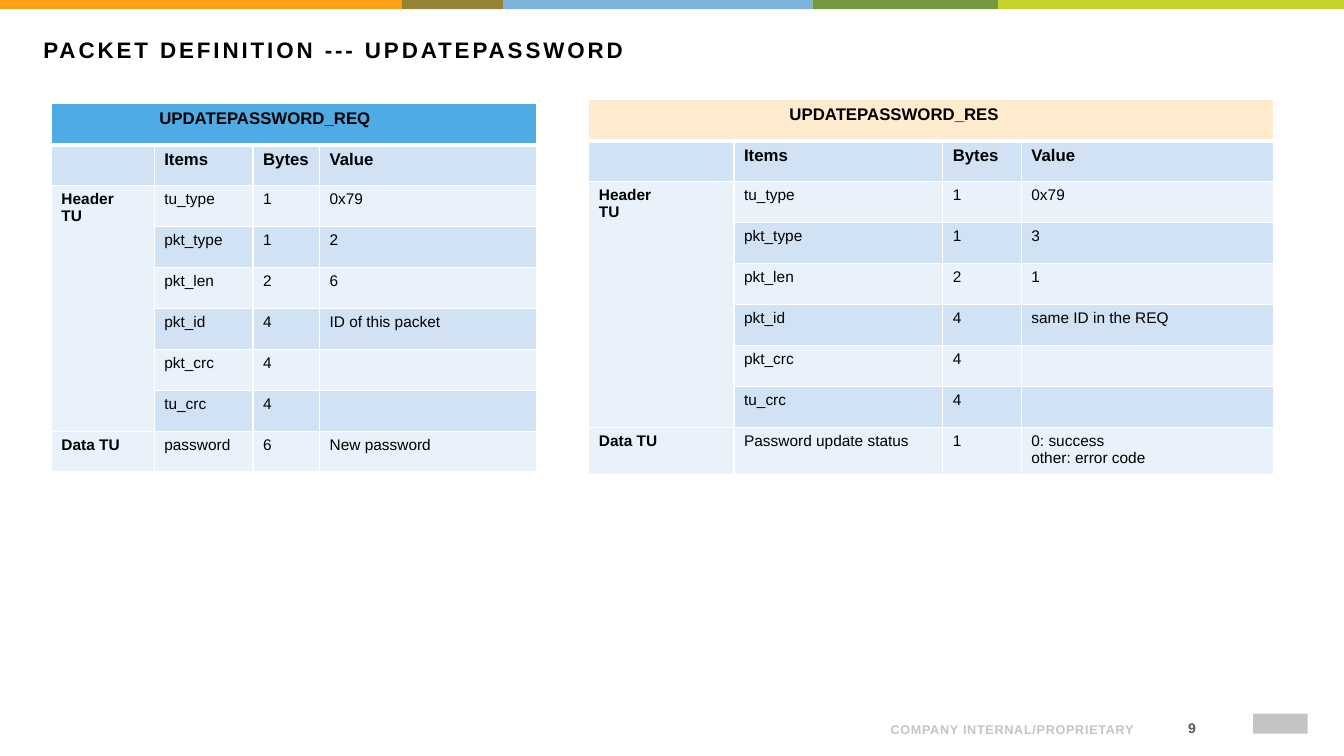
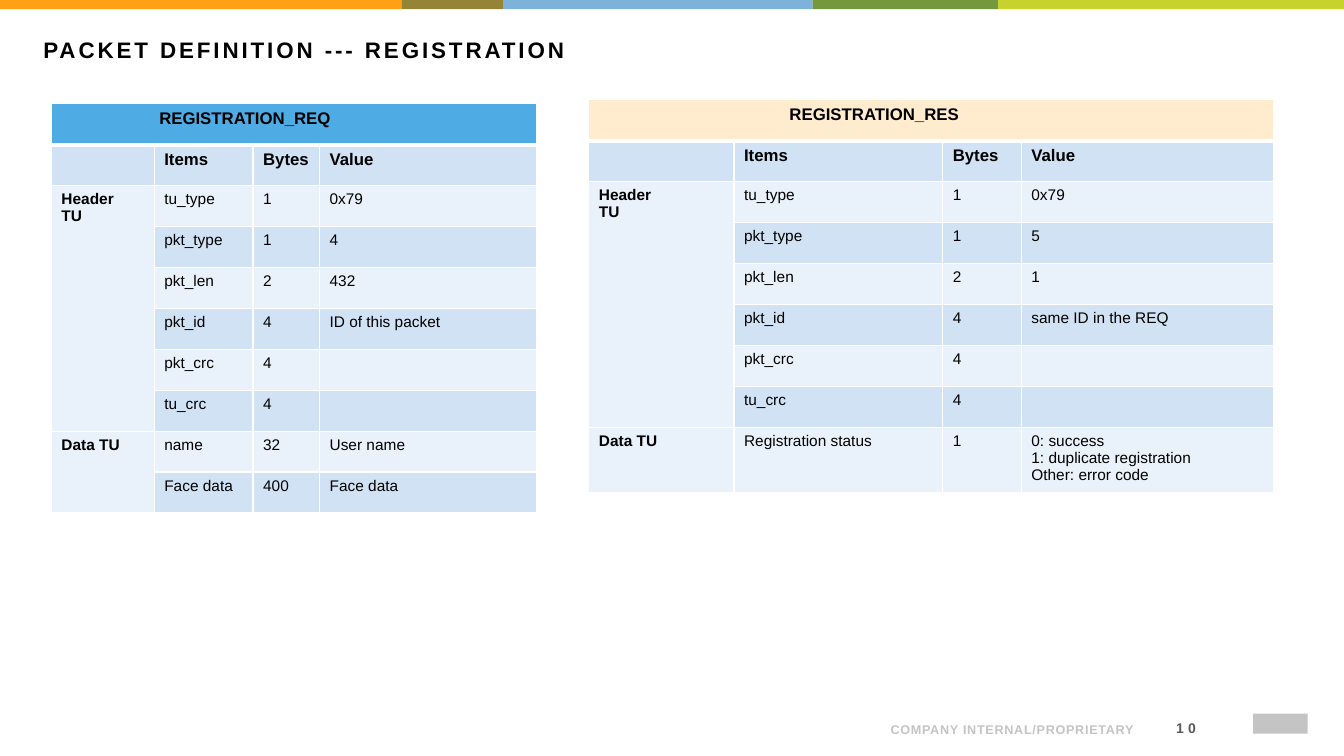
from dataclasses import dataclass

import lxml.etree
import pptx
import pptx.dml.color
import pptx.dml.fill
import pptx.enum.shapes
import pptx.enum.text
import pptx.oxml.ns
import pptx.slide
import pptx.table
import pptx.text.text
import pptx.util
from pptx.util import Inches

FONT = "Arial"
BLACK, WHITE = "000000", "FFFFFF"
BAND_DARK, BAND_LIGHT = "D0E2F4", "E9F1FA"
PAGE_GREY, FOOTER_GREY = "595959", "C4C4C4"
ROW_HEIGHT = Inches(4.06) // 10
COLUMN_HEADS = ("", "Items", "Bytes", "Value")
HEADER_FIELDS = (
    ("tu_type", "1"), ("pkt_type", "1"), ("pkt_len", "2"),
    ("pkt_id", "4"), ("pkt_crc", "4"), ("tu_crc", "4"),
)
FIRST_HEADER_ROW = 2
FIRST_DATA_ROW = FIRST_HEADER_ROW + len(HEADER_FIELDS)


@dataclass(frozen=True)
class BandSegment:
    left: float
    width: float
    color: str


@dataclass(frozen=True)
class TableLayout:
    left: float
    top: float
    column_widths: tuple[float, ...]
    caption_color: str
    caption_indent: float
    packet_id: str


@dataclass(frozen=True)
class Packet:
    name: str
    layout: TableLayout
    packet_type: str
    length: str
    data_fields: tuple[tuple[str, str, str], ...]


@dataclass(frozen=True)
class PacketPage:
    number: int
    title: str
    packets: tuple[Packet, ...]


TOP_BAND = (
    BandSegment(0, 3.98, "FFA015"),
    BandSegment(3.98, 1.01, "958436"),
    BandSegment(4.99, 3.07, "7DB2DB"),
    BandSegment(8.06, 1.84, "73983E"),
    BandSegment(9.9, 3.43, "C7D22D"),
)
REQUEST = TableLayout(0.51, 1.03, (1.02, 0.98, 0.66, 2.15), "4FABE3", 1.07, "ID of this packet")
RESPONSE = TableLayout(5.84, 0.99, (1.44, 2.07, 0.78, 2.5), "FFEBCE", 1.99, "same ID in the REQ")

PAGES = (
    PacketPage(9, "PACKET DEFINITION --- UPDATEPASSWORD", (
        Packet("UPDATEPASSWORD_REQ", REQUEST, "2", "6",
               (("password", "6", "New password"),)),
        Packet("UPDATEPASSWORD_RES", RESPONSE, "3", "1",
               (("Password update status", "1", "0: success\nother: error code"),)),
    )),
    PacketPage(10, "PACKET DEFINITION --- REGISTRATION", (
        Packet("REGISTRATION_REQ", REQUEST, "4", "432",
               (("name", "32", "User name"), ("Face data", "400", "Face data"))),
        Packet("REGISTRATION_RES", RESPONSE, "5", "1",
               (("Registration status", "1",
                 "0: success\n1: duplicate registration\nOther: error code"),)),
    )),
)


def rgb(color: str) -> pptx.dml.color.RGBColor:
    return pptx.dml.color.RGBColor.from_string(color)


def paint(fill: pptx.dml.fill.FillFormat, color: str) -> None:
    fill.solid()
    fill.fore_color.rgb = rgb(color)


def write(
    frame: pptx.text.text.TextFrame,
    text: str,
    size: float,
    color: str = BLACK,
    bold: bool = True,
    spacing: float = 0,
    align: pptx.enum.text.PP_ALIGN = pptx.enum.text.PP_ALIGN.LEFT,
) -> None:
    """Fill a frame with one style; spacing is the letter spacing in points."""
    frame.text = text
    for paragraph in frame.paragraphs:
        paragraph.alignment = align
        for run in paragraph.runs:
            run.font.name = FONT
            run.font.size = pptx.util.Pt(size)
            run.font.bold = bold
            run.font.color.rgb = rgb(color)
            if spacing:
                run._r.get_or_add_rPr().set("spc", str(round(spacing * 100)))


def add_block(
    slide: pptx.slide.Slide, left: float, top: float, width: float, height: float, color: str
) -> None:
    block = slide.shapes.add_shape(
        pptx.enum.shapes.MSO_SHAPE.RECTANGLE,
        Inches(left), Inches(top), Inches(width), Inches(height),
    )
    block.shadow.inherit = False
    paint(block.fill, color)
    block.line.fill.background()


def add_title(slide: pptx.slide.Slide, text: str) -> None:
    title = slide.shapes.title
    title.left, title.top = Inches(0.33), Inches(0.31)
    title.width, title.height = Inches(12.53), Inches(0.72)
    title.text_frame.vertical_anchor = pptx.enum.text.MSO_ANCHOR.TOP
    title.text_frame.auto_size = pptx.enum.text.MSO_AUTO_SIZE.NONE
    write(title.text_frame, text, 16, spacing=2.1)


def add_frame(slide: pptx.slide.Slide, page_number: int) -> None:
    """Draw the coloured top band and the footer found on every page."""
    for segment in TOP_BAND:
        add_block(slide, segment.left, 0, segment.width, 0.09, segment.color)
    add_block(slide, 12.43, 7.08, 0.54, 0.2, FOOTER_GREY)

    right = pptx.enum.text.PP_ALIGN.RIGHT
    notice = slide.shapes.add_textbox(
        Inches(8.51), Inches(7.02), Inches(2.83), Inches(0.34)
    ).text_frame
    notice.word_wrap = True
    notice.vertical_anchor = pptx.enum.text.MSO_ANCHOR.BOTTOM
    write(notice, "COMPANY INTERNAL/PROPRIETARY", 9, FOOTER_GREY, spacing=0.5, align=right)

    number = slide.shapes.add_textbox(
        Inches(11.28), Inches(7.07), Inches(0.65), Inches(0.3)
    ).text_frame
    number.word_wrap = True
    number.vertical_anchor = pptx.enum.text.MSO_ANCHOR.MIDDLE
    number.margin_left = number.margin_right = Inches(0.07)
    number.margin_top = number.margin_bottom = Inches(0.04)
    write(number, str(page_number), 10, PAGE_GREY, spacing=3, align=right)


def set_borders(cell: pptx.table._Cell, bottom: float) -> None:
    """Give a cell white 1 pt borders, with its own bottom width in points."""
    qn = pptx.oxml.ns.qn
    properties = cell._tc.get_or_add_tcPr()
    for side, width in (("lnL", 1), ("lnR", 1), ("lnT", 1), ("lnB", bottom)):
        line = lxml.etree.SubElement(
            properties, qn(f"a:{side}"), w=str(int(pptx.util.Pt(width)))
        )
        solid = lxml.etree.SubElement(line, qn("a:solidFill"))
        lxml.etree.SubElement(solid, qn("a:srgbClr"), val=WHITE)


def packet_rows(packet: Packet) -> list[tuple[str, ...]]:
    values = {
        "tu_type": "0x79",
        "pkt_type": packet.packet_type,
        "pkt_len": packet.length,
        "pkt_id": packet.layout.packet_id,
    }
    rows = [(packet.name, "", "", ""), COLUMN_HEADS]
    rows += [("", item, size, values.get(item, "")) for item, size in HEADER_FIELDS]
    rows += [("", *field) for field in packet.data_fields]
    rows[FIRST_HEADER_ROW] = ("Header\nTU", *rows[FIRST_HEADER_ROW][1:])
    rows[FIRST_DATA_ROW] = ("Data TU", *rows[FIRST_DATA_ROW][1:])
    return rows


def add_packet_table(slide: pptx.slide.Slide, packet: Packet) -> None:
    layout = packet.layout
    rows = packet_rows(packet)
    table = slide.shapes.add_table(
        len(rows), len(COLUMN_HEADS), Inches(layout.left), Inches(layout.top),
        Inches(sum(layout.column_widths)), ROW_HEIGHT * len(rows),
    ).table
    table.first_row = table.horz_banding = False
    for column, width in zip(table.columns, layout.column_widths):
        column.width = Inches(width)

    for row_index, row in enumerate(rows):
        table.rows[row_index].height = ROW_HEIGHT
        is_caption = row_index == 0
        is_heading = row_index < FIRST_HEADER_ROW
        band = BAND_DARK if row_index % 2 else BAND_LIGHT
        for column_index, text in enumerate(row):
            cell = table.cell(row_index, column_index)
            set_borders(cell, bottom=3 if is_caption else 1)
            paint(cell.fill, layout.caption_color if is_caption else band)
            if text:
                write(cell.text_frame, text, 12 if is_heading else 11,
                      bold=is_heading or column_index == 0)

    caption = table.cell(0, 0)
    caption.margin_left = Inches(layout.caption_indent)
    caption.merge(table.cell(0, len(COLUMN_HEADS) - 1))
    table.cell(FIRST_HEADER_ROW, 0).merge(table.cell(FIRST_DATA_ROW - 1, 0))
    if len(packet.data_fields) > 1:
        table.cell(FIRST_DATA_ROW, 0).merge(table.cell(len(rows) - 1, 0))


def main() -> None:
    deck = pptx.Presentation()
    deck.slide_width, deck.slide_height = Inches(13.33), Inches(7.5)
    title_only = deck.slide_layouts.get_by_name("Title Only")
    for page in PAGES:
        slide = deck.slides.add_slide(title_only)
        add_frame(slide, page.number)
        add_title(slide, page.title)
        for packet in page.packets:
            add_packet_table(slide, packet)
    deck.save("out.pptx")


if __name__ == "__main__":
    main()
